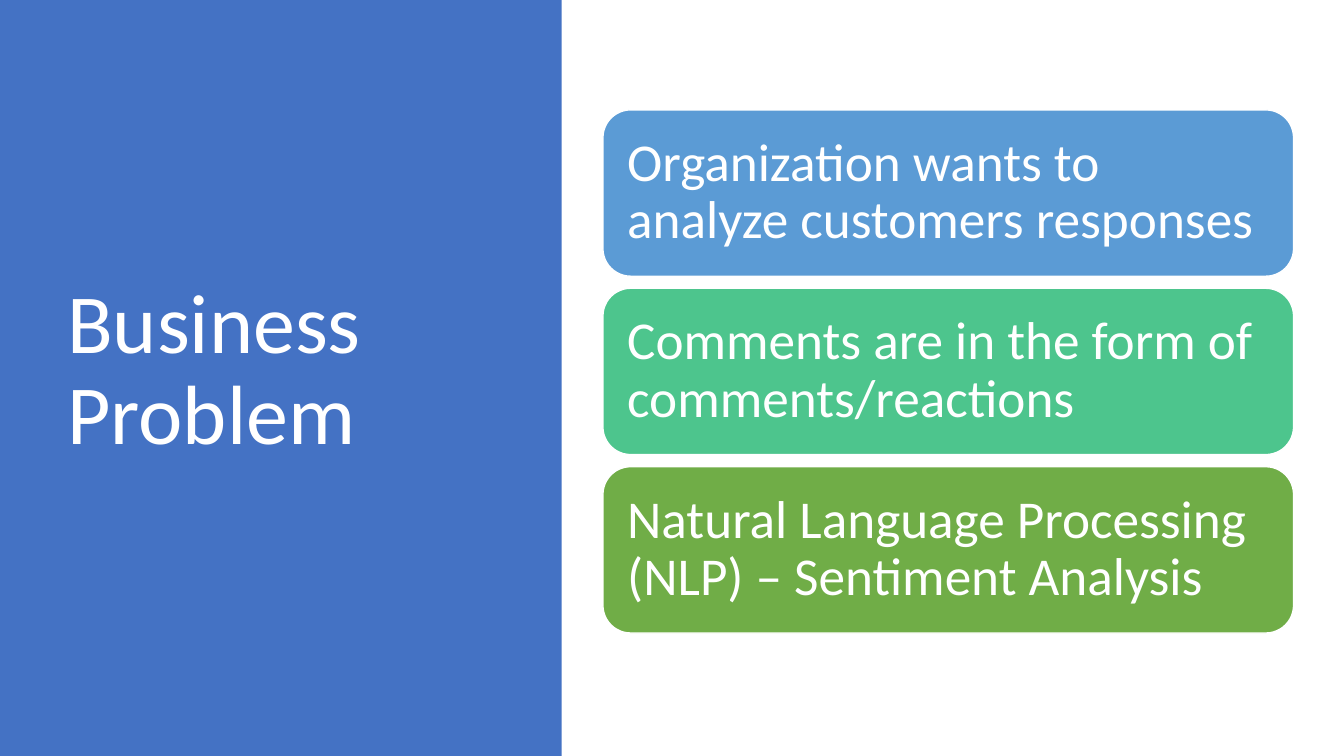
from pptx import Presentation
from pptx.dml.color import RGBColor
from pptx.enum.shapes import MSO_SHAPE as Shape
from pptx.enum.text import MSO_ANCHOR as Anchor, PP_ALIGN as Align
from pptx.util import Inches, Pt

FONT = "Calibri"
WHITE = "FFFFFF"
PANEL_BLUE = "4472C4"
POINTS = [
    ("Organization wants to analyze customers responses", "5B9BD5"),
    ("Comments are in the form of comments/reactions", "4DC58D"),
    ("Natural Language Processing (NLP) – Sentiment Analysis", "70AD47"),
]


def color(hex_text):
    return RGBColor.from_string(hex_text)


def add_filled_shape(page, kind, left, top, width, height, fill):
    shape = page.shapes.add_shape(
        kind, Inches(left), Inches(top), Inches(width), Inches(height))
    shape.shadow.inherit = False
    shape.fill.solid()
    shape.fill.fore_color.rgb = color(fill)
    shape.line.fill.background()
    return shape


def write_text(box, text, size):
    """Write one white, left-aligned paragraph, centred vertically."""
    frame = box.text_frame
    frame.word_wrap = True
    frame.vertical_anchor = Anchor.MIDDLE
    para = frame.paragraphs[0]
    para.alignment = Align.LEFT
    para.line_spacing = 0.9
    span = para.add_run()
    span.text = text
    span.font.name = FONT
    span.font.size = Pt(size)
    span.font.color.rgb = color(WHITE)


def add_title_panel(page, left, top, width, height):
    add_filled_shape(page, Shape.RECTANGLE, left, top, width, height, PANEL_BLUE)
    title = page.shapes.add_textbox(
        Inches(left + 0.57), Inches(top + 0.68),
        Inches(width - 1.41), Inches(height - 1.48))
    write_text(title, "Business Problem", 60)


def add_point_cards(page, left, top, width, height, gap=0.12):
    """Stack one rounded card per point, filling the given height."""
    card_height = (height - gap * (len(POINTS) - 1)) / len(POINTS)
    for index, (text, fill) in enumerate(POINTS):
        card_top = top + index * (card_height + gap)
        card = add_filled_shape(
            page, Shape.ROUNDED_RECTANGLE, left, card_top, width, card_height, fill)
        card.line.color.rgb = color(WHITE)
        card.line.width = Pt(1)
        frame = card.text_frame
        frame.margin_left = frame.margin_right = Inches(0.16)
        frame.margin_top = frame.margin_bottom = Inches(0.16)
        write_text(card, text, 38)


def main():
    deck = Presentation()
    deck.slide_width = Inches(13.33)
    deck.slide_height = Inches(7.5)
    page = deck.slides.add_slide(deck.slide_layouts[6])
    add_title_panel(page, 0, 0, 5.57, 7.5)
    add_point_cards(page, 5.98, 1.09, 6.85, 5.19)
    deck.save("out.pptx")


if __name__ == "__main__":
    main()
